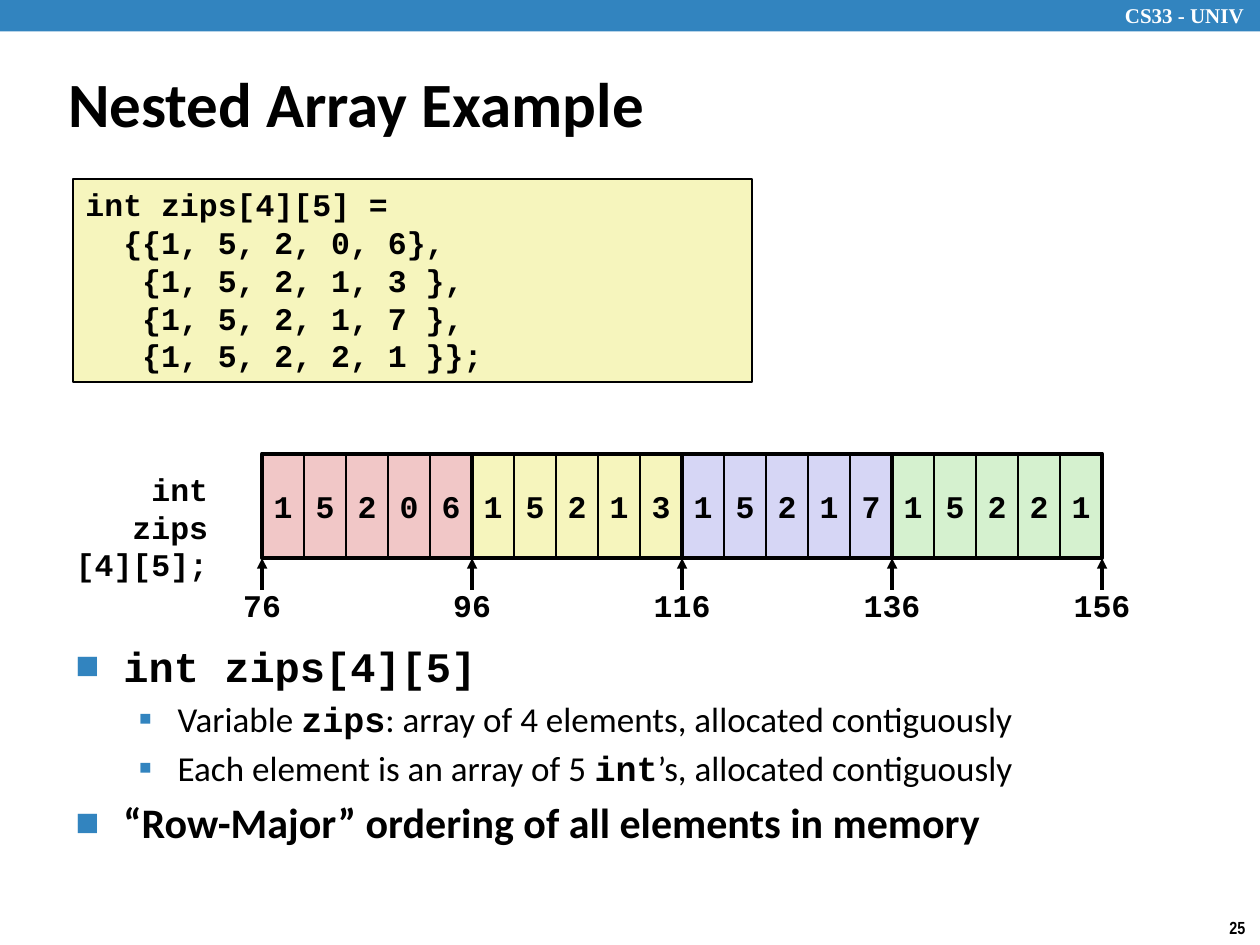
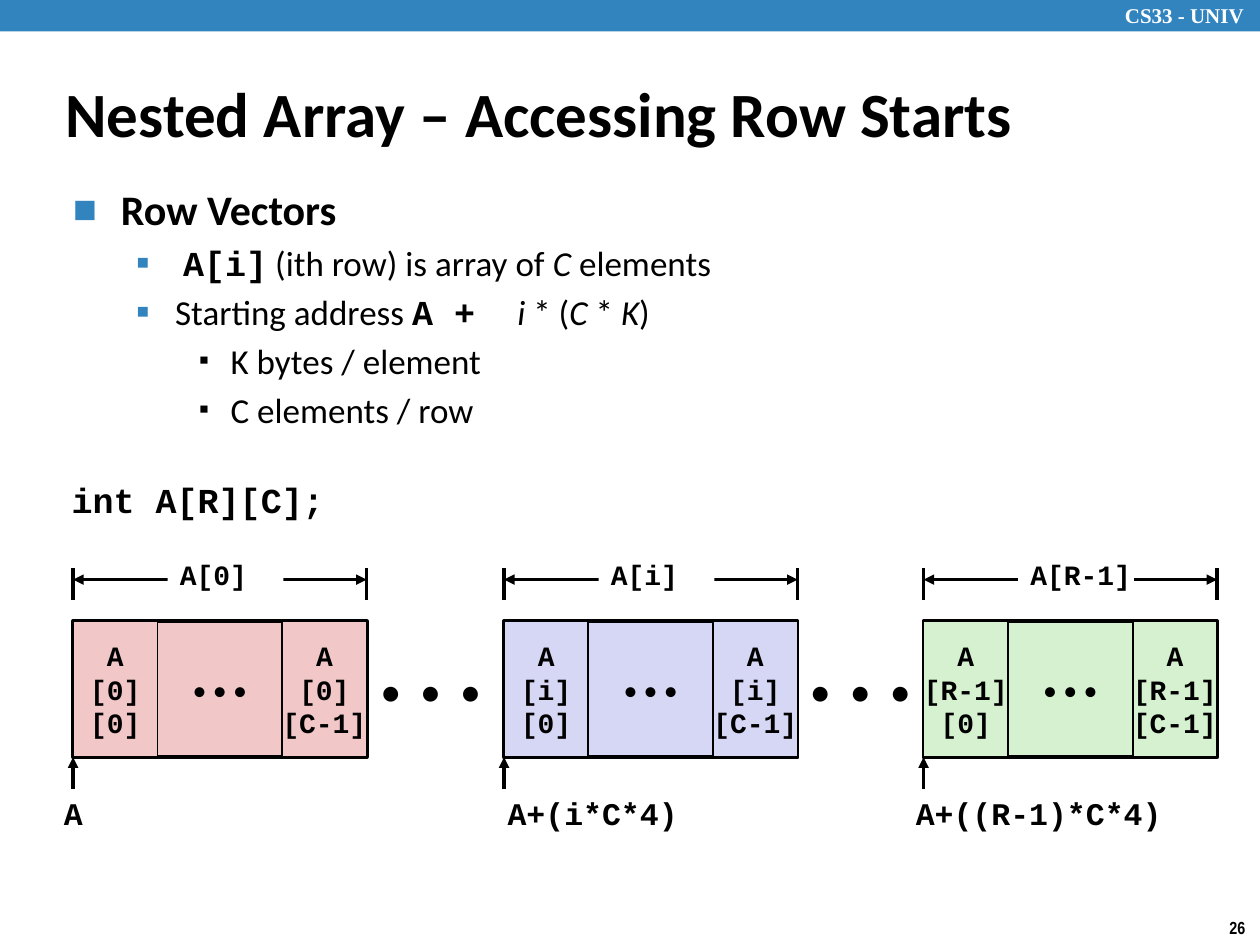
from pptx import Presentation
from pptx.dml.color import RGBColor
from pptx.enum.shapes import MSO_CONNECTOR, MSO_SHAPE
from pptx.enum.text import MSO_ANCHOR, MSO_AUTO_SIZE, PP_ALIGN
from pptx.oxml.ns import qn
from pptx.util import Inches, Pt
from lxml.etree import SubElement

# Colours and fonts
BLUE = RGBColor(0x32, 0x84, 0xBF)
BLACK = RGBColor(0, 0, 0)
WHITE = RGBColor(0xFF, 0xFF, 0xFF)
PINK = RGBColor(0xF1, 0xC7, 0xC7)
YELLOW = RGBColor(0xF6, 0xF5, 0xBD)
LILAC = RGBColor(0xD6, 0xD6, 0xF5)
GREEN = RGBColor(0xD5, 0xF1, 0xCF)
SANS, MONO = "Calibri", "Courier New"

# Per list level: left margin, hanging indent, bullet, bullet %, bullet colour, size
LEVELS = [
    (0.38, 0.38, "■", 60, BLUE, 24),
    (0.81, 0.31, "▪", 110, BLUE, 20),
    (1.25, 0.25, "▪", 80, BLACK, 20),
]


class Deck:
    """Holds the shared style and the slide being built."""

    def __init__(self):
        self.prs = Presentation()
        self.prs.slide_width, self.prs.slide_height = Inches(10), Inches(7.5)
        self.s = None

    def slide(self, number, title, box):
        self.s = self.prs.slides.add_slide(self.prs.slide_layouts[1])
        # Band and footer
        self.rect((0, 0, 10, 0.25), BLUE)
        self.text((8.83, -0.03, 1.24, 0.3), ["CS33 - UNIV"], 12, "Times New Roman", WHITE)
        self.text((9.66, 7.23, 0.34, 0.27), [number], 10, "Arial Narrow", wrap=False)
        # Title
        sp = self.s.shapes.title
        self.place(sp, box)
        self.set_lines(sp.text_frame, [title], 36, SANS, anchor=MSO_ANCHOR.MIDDLE)

    @staticmethod
    def place(sp, box):
        sp.left, sp.top, sp.width, sp.height = map(Inches, box)

    @staticmethod
    def run(p, text, size, font, color=BLACK, bold=True, italic=False):
        r = p.add_run()
        r.text = text
        r.font.size, r.font.name = Pt(size), font
        r.font.bold, r.font.italic = bold, italic
        r.font.color.rgb = color

    def set_lines(self, tf, lines, size, font=MONO, color=BLACK, bold=True,
                  align=PP_ALIGN.LEFT, anchor=MSO_ANCHOR.TOP, wrap=True):
        tf.word_wrap, tf.auto_size = wrap, MSO_AUTO_SIZE.NONE
        tf.vertical_anchor = anchor
        for i, line in enumerate(lines):
            p = tf.add_paragraph() if i else tf.paragraphs[0]
            p.alignment = align
            self.run(p, line, size, font, color, bold)

    def text(self, box, lines, size=18, font=MONO, color=BLACK, **style):
        sp = self.s.shapes.add_textbox(*map(Inches, box))
        self.set_lines(sp.text_frame, lines, size, font, color, **style)

    def rect(self, box, fill=None, line=0):
        sp = self.s.shapes.add_shape(MSO_SHAPE.RECTANGLE, *map(Inches, box))
        sp.shadow.inherit = False
        if fill is None:
            sp.fill.background()
        else:
            sp.fill.solid()
            sp.fill.fore_color.rgb = fill
        if line:
            sp.line.color.rgb, sp.line.width = BLACK, Pt(line)
        else:
            sp.line.fill.background()
        return sp

    def cell(self, box, fill, lines, size=18, line=1, align=PP_ALIGN.CENTER, **style):
        sp = self.rect(box, fill, line)
        self.set_lines(sp.text_frame, lines, size, align=align,
                       anchor=MSO_ANCHOR.MIDDLE, wrap=False, **style)

    def line(self, x1, y1, x2, y2, *ends):
        c = self.s.shapes.add_connector(
            MSO_CONNECTOR.STRAIGHT, *map(Inches, (x1, y1, x2, y2)))
        c.line.color.rgb, c.line.width = BLACK, Pt(2)
        spPr = c.element.spPr
        for end in ends:
            SubElement(spPr.find(qn("a:ln")), qn(f"a:{end}"), type="triangle")
        SubElement(spPr, qn("a:effectLst"))

    def bullets(self, box, items):
        """Each item is a level and its runs; a run is a text and a kind."""
        sp = self.s.placeholders[1]
        self.place(sp, box)
        tf = sp.text_frame
        tf.auto_size = MSO_AUTO_SIZE.NONE
        for i, (level, runs) in enumerate(items):
            p = tf.add_paragraph() if i else tf.paragraphs[0]
            p.level = level
            margin, hang, char, pct, color, size = LEVELS[level]
            pPr = p._p.get_or_add_pPr()
            pPr.set("marL", str(Inches(margin)))
            pPr.set("indent", str(-Inches(hang)))
            SubElement(SubElement(pPr, qn("a:buClr")), qn("a:srgbClr"), val=str(color))
            SubElement(pPr, qn("a:buSzPct"), val=str(pct * 1000))
            SubElement(pPr, qn("a:buFont"), typeface=SANS)
            SubElement(pPr, qn("a:buChar"), char=char)
            for text, kind in runs:
                self.run(p, text, size, MONO if kind == "code" else SANS,
                         bold=level == 0 or kind == "code", italic=kind == "var")


def nested_example(d):
    d.slide("25", "Nested Array Example", (0.44, 0.5, 6.97, 0.63))
    d.bullets((0.5, 5.03, 8.75, 2.08), [
        (0, [("int zips[4][5]", "code")]),
        (1, [("Variable ", ""), ("zips", "code"),
             (": array of 4 elements, allocated contiguously", "")]),
        (1, [("Each element is an array of 5 ", ""), ("int", "code"),
             ("’s, allocated contiguously", "")]),
        (0, [("“Row-Major” ordering of all elements in memory", "")]),
    ])

    # Declaration
    code = d.rect((0.58, 1.42, 5.39, 1.61), YELLOW, 1)
    d.set_lines(code.text_frame, [
        "int zips[4][5] =",
        "  {{1, 5, 2, 0, 6},",
        "   {1, 5, 2, 1, 3 },",
        "   {1, 5, 2, 1, 7 },",
        "   {1, 5, 2, 2, 1 }};",
    ], 18)
    d.text((0.37, 3.68, 1.38, 0.71), ["int zips", "[4][5];"], align=PP_ALIGN.RIGHT)

    # Memory row: four arrays of five cells
    left, top, height, row_w = 2.08, 3.6, 0.83, 5 / 3
    cell_w = row_w / 5
    rows = [("15206", PINK), ("15213", YELLOW), ("15217", LILAC), ("15221", GREEN)]
    for i, (digits, fill) in enumerate(rows):
        for j, digit in enumerate(digits):
            x = left + i * row_w + j * cell_w
            d.cell((x, top, cell_w, height), fill, [digit])
    for i in range(len(rows)):
        d.rect((left + i * row_w, top, row_w, height), line=2.25)

    # Addresses
    for i in range(len(rows) + 1):
        x = left + i * row_w
        d.line(x, 4.68, x, top + height, "tailEnd")
        d.text((x - 0.33, 4.6, 0.66, 0.4), [str(76 + 20 * i)],
               align=PP_ALIGN.CENTER, wrap=False)


def row_starts(d):
    d.slide("26", "Nested Array – Accessing Row Starts", (0.42, 0.62, 8.21, 0.55))
    d.bullets((0.48, 1.41, 6.52, 2.1), [
        (0, [("Row Vectors", "")]),
        (1, [(" ", ""), ("A[i]", "code"), (" (ith row) is array of ", ""),
             ("C", "var"), (" elements", "")]),
        (1, [("Starting address ", ""), ("A +  ", "code"), ("i", "var"), (" * (", ""),
             ("C ", "var"), ("* ", ""), ("K", "var"), (")", "")]),
        (2, [("K bytes / element", "")]),
        (2, [("C elements / row", "")]),
    ])
    d.text((0.47, 3.75, 2.2, 0.43), ["int A[R][C];"], 20, wrap=False)

    top, height, row_w, cell_w = 4.93, 1.08, 2.33, 0.67

    # Gaps between the rows
    for x in (2.92, 6.33):
        d.cell((x, top, 1.08, height), WHITE, ["•  •  •"], 24, line=0,
               align=PP_ALIGN.LEFT, font=SANS, bold=False)

    # Rows with their spans and start arrows
    for x, index, fill in ((0.58, "[0]", PINK), (4, "[i]", LILAC), (7.33, "[R-1]", GREEN)):
        right = x + row_w
        d.cell((x, top, row_w, height), fill, ["• • •"], 16, line=2.25,
               font=SANS, bold=False)
        for cell_x, column in ((x, "[0]"), (right - cell_w, "[C-1]")):
            d.cell((cell_x, top, cell_w, height), fill, ["A", index, column], 16)
        for edge in (x, right):
            d.line(edge, 4.51, edge, 4.76)
        d.line(x, 4.6, right, 4.6, "headEnd", "tailEnd")
        d.cell((x + 0.75, 4.35, 0.92, 0.42), WHITE, ["A" + index], 16, line=0,
               align=PP_ALIGN.LEFT)
        d.line(x, 6.26, x, top + height, "tailEnd")

    # Start addresses
    for x, width, address in ((0.41, 0.43, "A"), (3.93, 1.98, "A+(i*C*4)"),
                              (7.17, 2.5, "A+((R-1)*C*4)")):
        d.text((x, 6.25, width, 0.4), [address])


def main():
    d = Deck()
    nested_example(d)
    row_starts(d)
    d.prs.save("out.pptx")


if __name__ == "__main__":
    main()
